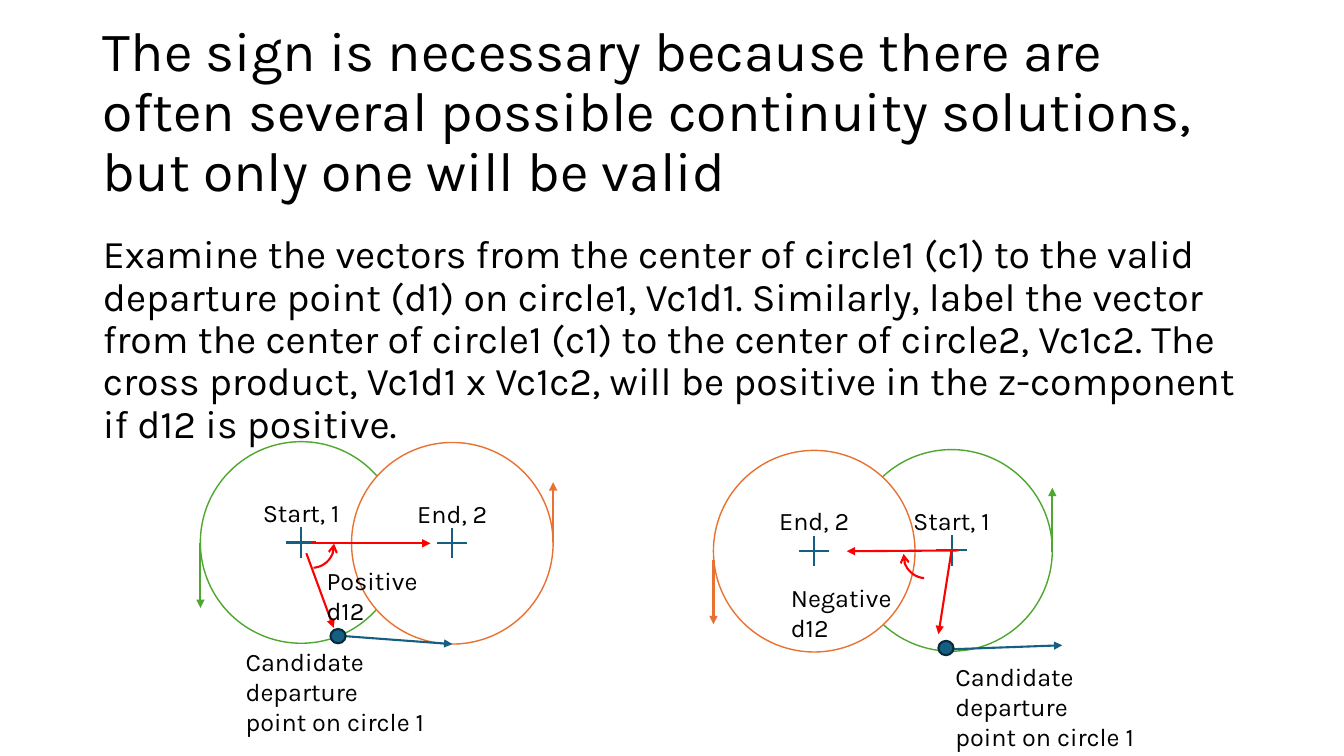
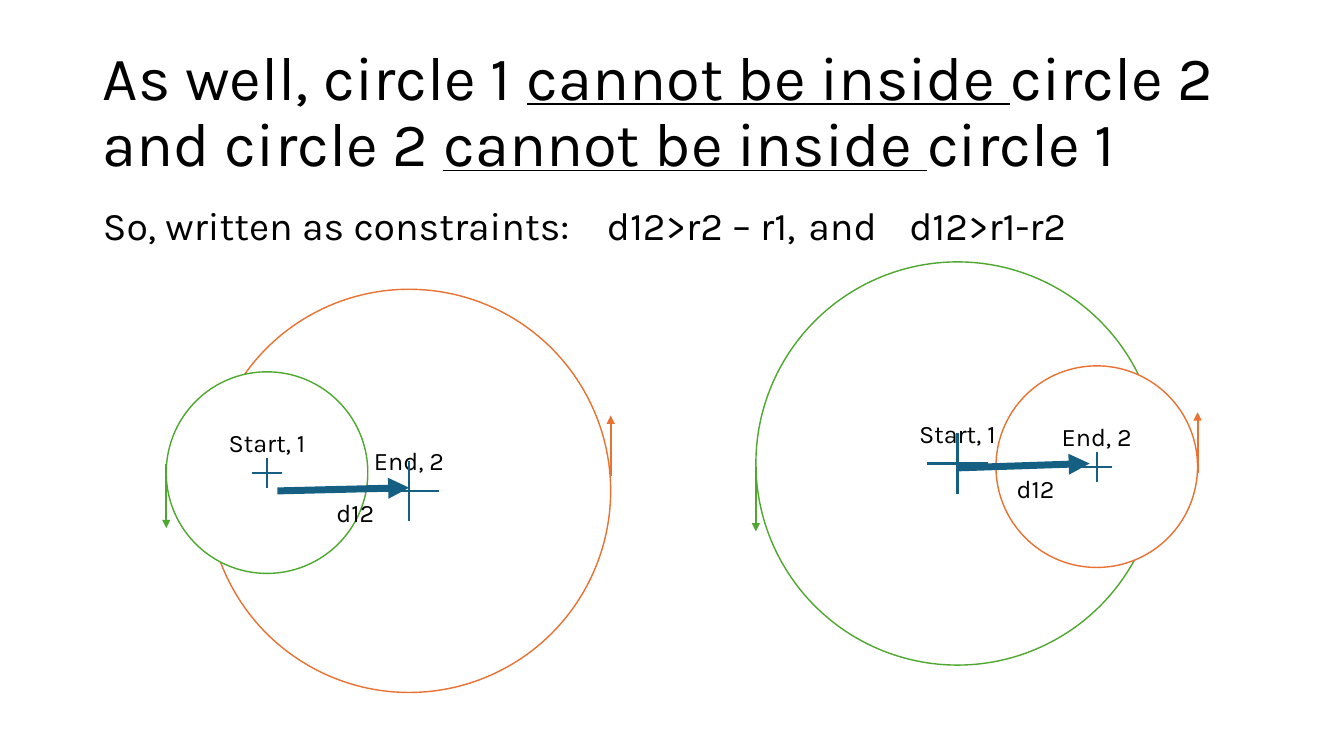
import pptx
import pptx.dml.color
import pptx.enum.shapes
import pptx.enum.text
import pptx.oxml.ns
import pptx.util
import lxml.etree

Cm = pptx.util.Cm
Pt = pptx.util.Pt
SHAPE = pptx.enum.shapes.MSO_SHAPE
ALIGN = pptx.enum.text.PP_ALIGN
ANCHOR = pptx.enum.text.MSO_ANCHOR
qn = pptx.oxml.ns.qn

FONT = "Karla"
BLACK, WHITE = "000000", "FFFFFF"
GREEN, ORANGE, RED = "4EA72E", "E97132", "FF0000"
BLUE, NAVY = "156082", "092A39"
START, END = ("Start, 1", GREEN), ("End, 2", ORANGE)
LEFT, RIGHT = -1, 1
MARGIN, TEXT_WIDTH = 2.34, 29.21
CANDIDATE = ["Candidate departure", "point on circle 1"]

# circles: role, centre x, centre y, radius, side of the turn arrow, its start y, its length
# arrows: x1, y1, x2, y2, colour, width
# arcs: left, top, rotation, mirrored
# labels: lines, left, top, width
SLIDES = [
    {
        "title": [("The sign is necessary because there are often several possible "
                   "continuity solutions, but only one will be valid", False)],
        "title_size": 39.6,
        "body": "Examine the vectors from the center of circle1 (c1) to the valid "
                "departure point (d1) on circle1, Vc1d1. Similarly, label the vector "
                "from the center of circle1 (c1) to the center of circle2, Vc1c2. The "
                "cross product, Vc1d1 x Vc1c2, will be positive in the z-component "
                "if d12 is positive.",
        "tabs": [],
        "body_top": 5.79,
        "circles": [
            (START, 7.59, 13.67, 2.54, LEFT, 13.69, 1.63),
            (END, 11.4, 13.69, 2.54, RIGHT, 13.67, 1.52),
            (START, 23.98, 13.87, 2.54, RIGHT, 13.92, 1.63),
            (END, 20.52, 13.89, 2.54, LEFT, 14.1, 1.63),
        ],
        "arrows": [
            (8.69, 16.03, 11.4, 16.23, BLUE, 1.5),
            (7.72, 13.94, 8.41, 15.82, RED, 1.5),
            (7.87, 13.69, 10.85, 13.69, RED, 1.5),
            (24, 16.36, 26.77, 16.26, BLUE, 1.5),
            (24.16, 13.87, 21.34, 13.89, RED, 1.5),
            (23.98, 13.87, 23.65, 15.98, RED, 1.5),
        ],
        "arcs": [(7.29, 13.18, 85.9, False), (22.76, 13.44, 274.1, True)],
        "dots": [(8.52, 16.03), (23.84, 16.33)],
        "labels": [
            (["Positive d12"], 7.98, 14.12, 3.84),
            (["Negative d12"], 19.68, 14.55, 4.11),
            (CANDIDATE, 5.94, 16.15, 6.27),
            (CANDIDATE, 23.83, 16.54, 6.27),
        ],
    },
    {
        "title": [("As well, circle 1 ", False), ("cannot be inside ", True),
                  ("circle 2 and circle 2 ", False), ("cannot be inside ", True),
                  ("circle 1", False)],
        "title_size": 44,
        "body": "So, written as constraints:\td12>r2 – r1,\tand\td12>r1-r2",
        "tabs": [12.22, 17.7, 19.86],
        "body_top": 5.08,
        "circles": [
            (END, 10.31, 12.37, 5.08, RIGHT, 11.99, 1.52),
            (START, 6.73, 11.91, 2.54, LEFT, 11.68, 1.63),
            (START, 24.13, 11.68, 5.08, LEFT, 11.76, 1.63),
            (END, 27.64, 11.76, 2.54, RIGHT, 11.91, 1.52),
        ],
        "arrows": [
            (6.99, 12.37, 10.31, 12.29, BLUE, 5),
            (24.13, 11.79, 27.46, 11.68, BLUE, 5),
        ],
        "arcs": [],
        "dots": [],
        "labels": [(["d12"], 8.23, 12.4, 1.55), (["d12"], 25.37, 11.79, 1.55)],
    },
]


def rgb(color):
    return pptx.dml.color.RGBColor.from_string(color)


def add_run(p, text, size=18, underline=False):
    r = p.add_run()
    r.text = text
    r.font.name = FONT
    r.font.size = Pt(size)
    r.font.color.rgb = rgb(BLACK)
    if underline:
        r.font.underline = True


def set_line(sp, color, width, head=None, tail=None):
    sp.line.color.rgb = rgb(color)
    sp.line.width = Pt(width)
    ln = sp._element.spPr.find(qn("a:ln"))
    for tag, kind in (("a:headEnd", head), ("a:tailEnd", tail)):
        if kind:
            lxml.etree.SubElement(ln, qn(tag), type=kind)


def add_line(slide, x1, y1, x2, y2, color, width=1.5, tail=None):
    line = slide.shapes.add_connector(
        pptx.enum.shapes.MSO_CONNECTOR.STRAIGHT, Cm(x1), Cm(y1), Cm(x2), Cm(y2))
    set_line(line, color, width, tail=tail)
    lxml.etree.SubElement(line._element.spPr, qn("a:effectLst"))


def add_preset(slide, preset, left, top, width, height, fill=None):
    sp = slide.shapes.add_shape(preset, Cm(left), Cm(top), Cm(width), Cm(height))
    sp.shadow.inherit = False
    if fill:
        sp.fill.solid()
        sp.fill.fore_color.rgb = rgb(fill)
    else:
        sp.fill.background()
    return sp


def add_circle(slide, role, x, y, radius, side, turn_y, turn_length):
    name, color = role
    sp = add_preset(slide, SHAPE.OVAL, x - radius, y - radius, 2 * radius, 2 * radius, WHITE)
    set_line(sp, color, 1)
    tf = sp.text_frame
    tf.vertical_anchor = ANCHOR.MIDDLE
    tf.margin_bottom = Cm(1.65)
    tf.paragraphs[0].alignment = ALIGN.CENTER
    add_run(tf.paragraphs[0], name)
    arm = 0.15 * radius
    add_line(slide, x, y - arm, x, y + arm, BLUE)
    add_line(slide, x - arm, y, x + arm, y, BLUE)
    edge = x + side * radius
    add_line(slide, edge, turn_y, edge, turn_y - side * turn_length, color, tail="triangle")


def add_arc(slide, left, top, rotation, mirrored):
    sp = add_preset(slide, SHAPE.ARC, left, top, 1.14, 1.12)
    set_line(sp, RED, 1.5, head="arrow")
    sp.rotation = rotation
    if mirrored:
        sp._element.spPr.find(qn("a:xfrm")).set("flipH", "1")


def add_dot(slide, x, y):
    sp = add_preset(slide, SHAPE.OVAL, x - 0.19, y - 0.18, 0.38, 0.36, BLUE)
    set_line(sp, NAVY, 1.5)


def add_label(slide, lines, left, top, width):
    height = 1.02 if len(lines) == 1 else 1.8
    tf = slide.shapes.add_textbox(Cm(left), Cm(top), Cm(width), Cm(height)).text_frame
    tf.word_wrap = True
    for i, text in enumerate(lines):
        p = tf.add_paragraph() if i else tf.paragraphs[0]
        add_run(p, text)


def fill_placeholder(sp, top, height, anchor, runs, size, tabs=()):
    sp.left, sp.top, sp.width, sp.height = Cm(MARGIN), Cm(top), Cm(TEXT_WIDTH), Cm(height)
    tf = sp.text_frame
    tf.word_wrap = True
    tf.auto_size = pptx.enum.text.MSO_AUTO_SIZE.NONE
    tf.vertical_anchor = anchor
    p = tf.paragraphs[0]
    pPr = p._p.get_or_add_pPr()
    pPr.set("marL", "0")
    pPr.set("indent", "0")
    lxml.etree.SubElement(pPr, qn("a:buNone"))
    if tabs:
        stops = lxml.etree.SubElement(pPr, qn("a:tabLst"))
        for pos in tabs:
            lxml.etree.SubElement(stops, qn("a:tab"), pos=str(int(Cm(pos))), algn="l")
    p.alignment = ALIGN.LEFT
    p.line_spacing = 0.9
    p.space_before = Pt(0)
    for text, underline in runs:
        add_run(p, text, size, underline)


def build_slide(prs, data):
    slide = prs.slides.add_slide(prs.slide_layouts[1])
    fill_placeholder(slide.shapes.title, 1.02, 3.68, ANCHOR.MIDDLE,
                     data["title"], data["title_size"])
    top = data["body_top"]
    fill_placeholder(slide.placeholders[1], top, 17.15 - top, ANCHOR.TOP,
                     [(data["body"], False)], 28, data["tabs"])
    for circle in data["circles"]:
        add_circle(slide, *circle)
    for arrow in data["arrows"]:
        add_line(slide, *arrow, tail="triangle")
    for arc in data["arcs"]:
        add_arc(slide, *arc)
    for dot in data["dots"]:
        add_dot(slide, *dot)
    for label in data["labels"]:
        add_label(slide, *label)


def main():
    prs = pptx.Presentation()
    prs.slide_width, prs.slide_height = Cm(33.87), Cm(19.05)
    for data in SLIDES:
        build_slide(prs, data)
    prs.save("out.pptx")


if __name__ == "__main__":
    main()
